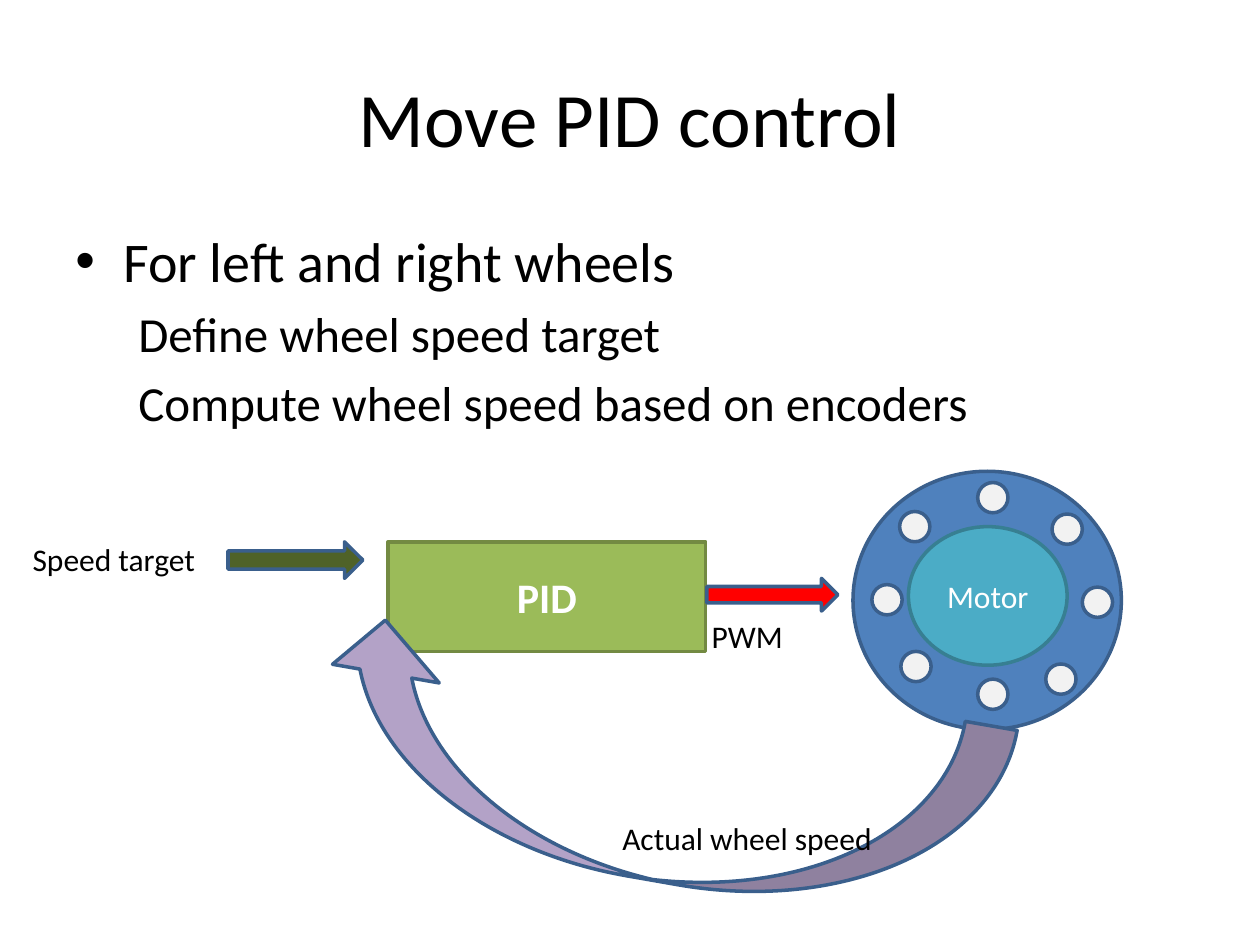
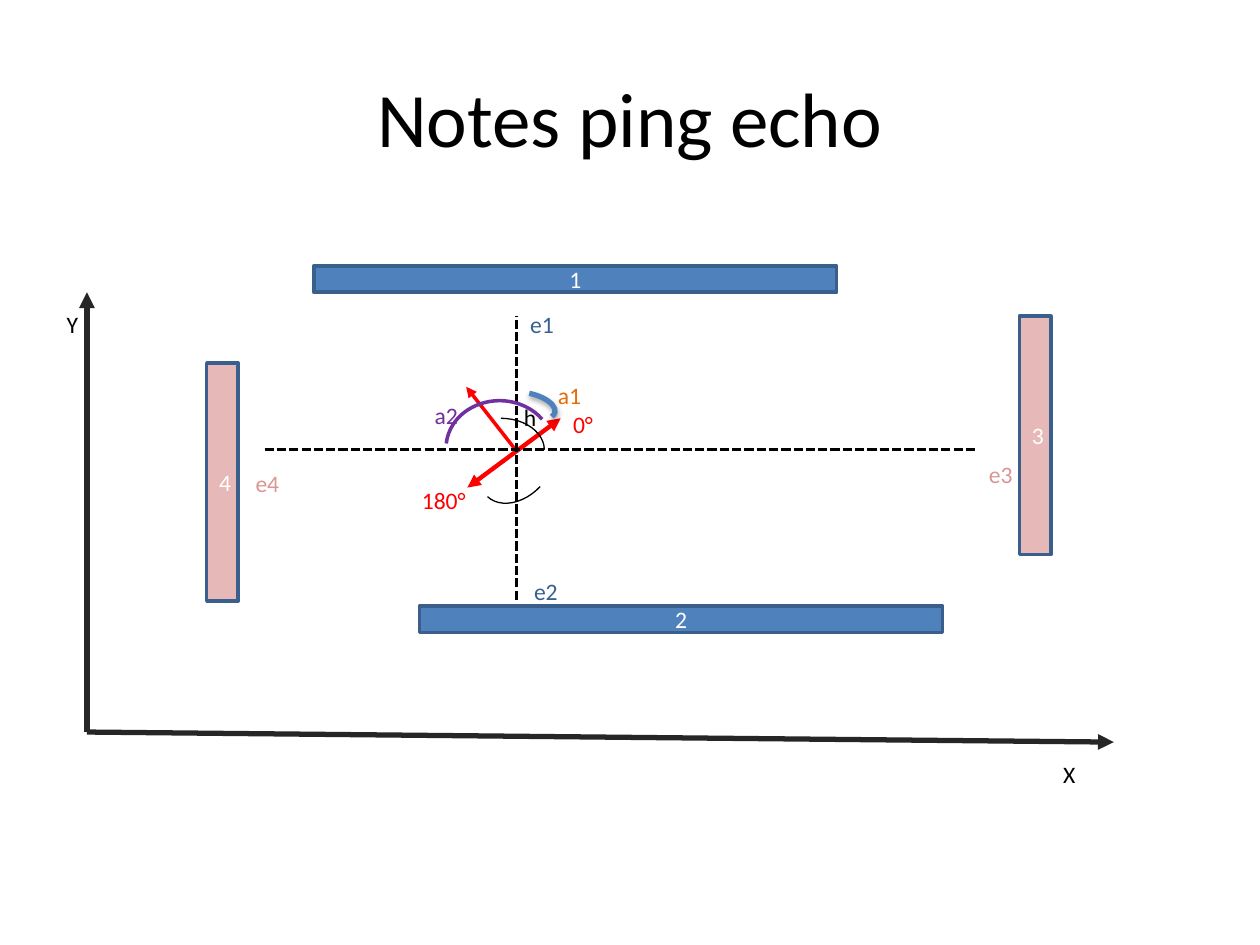
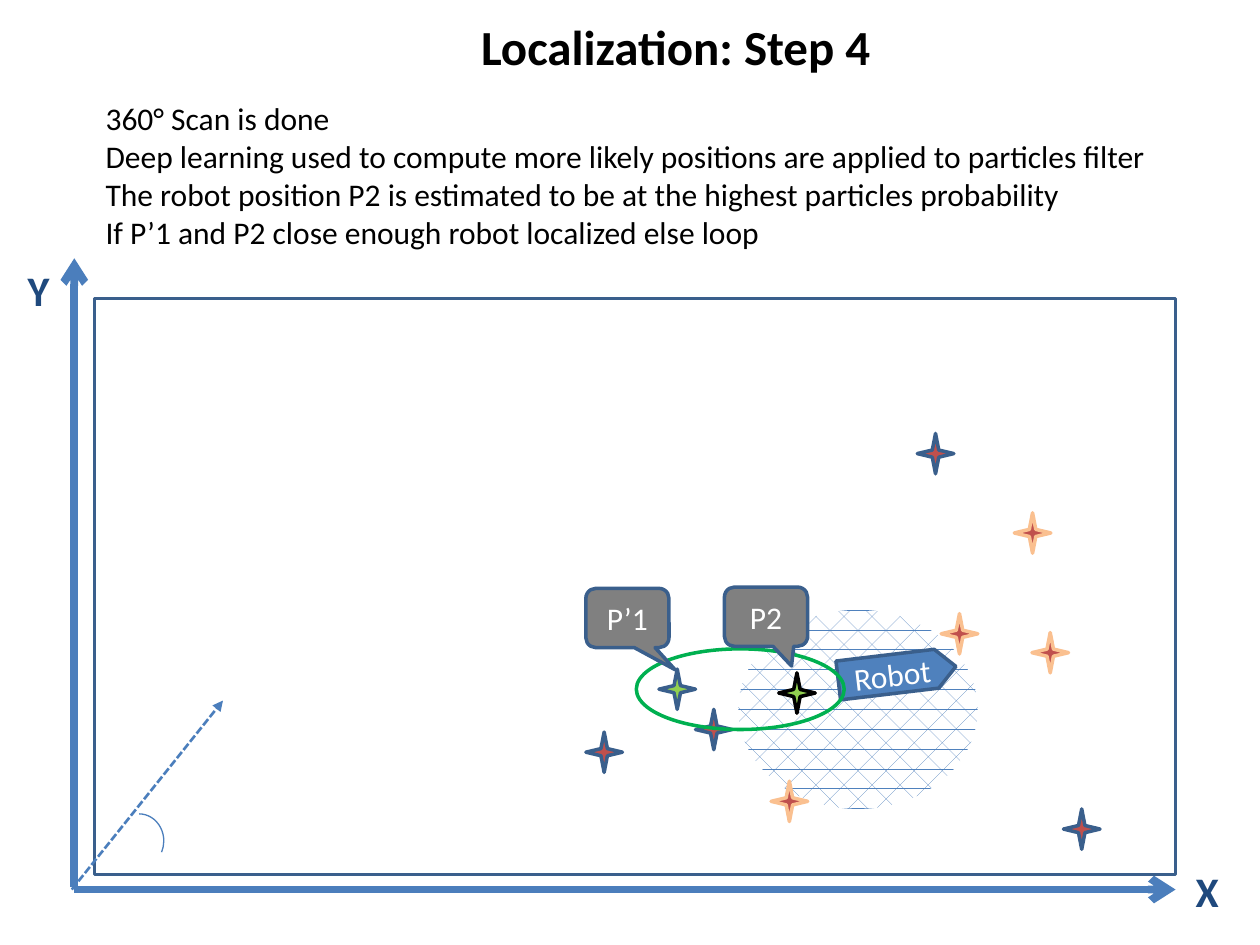
from lxml.etree import SubElement
from pptx import Presentation
from pptx.dml.color import RGBColor
from pptx.enum.dml import MSO_LINE as Dash, MSO_PATTERN as Pattern
from pptx.enum.shapes import MSO_CONNECTOR as Connector, MSO_SHAPE as Shape
from pptx.enum.text import MSO_ANCHOR as Anchor, MSO_AUTO_SIZE as AutoSize, PP_ALIGN as Align
from pptx.oxml.ns import qn
from pptx.util import Inches, Pt

BLACK = RGBColor(0x00, 0x00, 0x00)
WHITE = RGBColor(0xFF, 0xFF, 0xFF)
CHARCOAL = RGBColor(0x26, 0x26, 0x26)
GRAY = RGBColor(0x80, 0x80, 0x80)
PALE_GRAY = RGBColor(0xF2, 0xF2, 0xF2)
BLUE = RGBColor(0x4F, 0x81, 0xBD)
EDGE_BLUE = RGBColor(0x3A, 0x5F, 0x8C)
AXIS_BLUE = RGBColor(0x4B, 0x7E, 0xBC)
DARK_BLUE = RGBColor(0x37, 0x60, 0x92)
NAVY = RGBColor(0x1F, 0x49, 0x7D)
TEAL = RGBColor(0x4B, 0xAC, 0xC6)
EDGE_TEAL = RGBColor(0x37, 0x7F, 0x92)
OLIVE = RGBColor(0x9B, 0xBB, 0x59)
EDGE_OLIVE = RGBColor(0x73, 0x8A, 0x42)
DARK_OLIVE = RGBColor(0x4F, 0x62, 0x28)
GREEN = RGBColor(0x00, 0xB0, 0x50)
LIME = RGBColor(0x92, 0xD0, 0x50)
RED = RGBColor(0xFF, 0x00, 0x00)
BRICK = RGBColor(0xC0, 0x50, 0x4D)
ROSE = RGBColor(0xD9, 0x96, 0x94)
PINK = RGBColor(0xE6, 0xB9, 0xB8)
ORANGE = RGBColor(0xE4, 0x6C, 0x0A)
PEACH = RGBColor(0xFA, 0xC0, 0x90)
PURPLE = RGBColor(0x70, 0x30, 0xA0)
LILAC = RGBColor(0xB3, 0xA2, 0xC7)


def write(para, text, size=18, color=BLACK, bold=False, align=Align.LEFT):
    para.alignment = align
    span = para.add_run()
    span.text = text
    font = span.font
    font.name = "Calibri"
    font.size = Pt(size)
    font.bold = bold
    font.color.rgb = color


class Sketch:
    def __init__(self, deck):
        self.deck = deck
        self.page = None

    def new_page(self):
        self.page = self.deck.slides.add_slide(self.deck.slide_layouts[6])

    def frame(self, left, top, width, height):
        box = self.page.shapes.add_textbox(
            Inches(left), Inches(top), Inches(width), Inches(height))
        box.text_frame.word_wrap = True
        return box.text_frame

    def title(self, text):
        frame = self.frame(0.5, 0.3, 9, 1.25)
        frame.vertical_anchor = Anchor.MIDDLE
        write(frame.paragraphs[0], text, size=44, align=Align.CENTER)

    def body(self, heading, details):
        frame = self.frame(0.5, 1.75, 9, 2.39)
        para = frame.paragraphs[0]
        properties = para._p.get_or_add_pPr()
        properties.set("marL", str(Inches(0.38)))
        properties.set("indent", str(-Inches(0.38)))
        SubElement(properties, qn("a:buFont"), typeface="Arial")
        SubElement(properties, qn("a:buChar"), char="•")
        write(para, heading, size=32)
        for detail in details:
            para = frame.add_paragraph()
            para.level = 1
            para.space_before = Pt(5.6)
            properties = para._p.get_or_add_pPr()
            properties.set("marL", str(Inches(0.5)))
            properties.set("indent", "0")
            SubElement(properties, qn("a:buNone"))
            write(para, detail, size=28)

    def label(self, left, top, width, *lines, size=18, wrap=False, **style):
        height = len(lines) * size * 1.2 / 72 + 0.1
        frame = self.frame(left, top, width, height)
        frame.word_wrap = wrap
        frame.auto_size = AutoSize.SHAPE_TO_FIT_TEXT
        for index, line in enumerate(lines):
            para = frame.add_paragraph() if index else frame.paragraphs[0]
            write(para, line, size=size, **style)

    def shape(self, kind, left, top, width, height, fill=None, edge=EDGE_BLUE,
              weight=2, rotation=0, adjust=(), text="", size=18, bold=False):
        box = self.page.shapes.add_shape(
            kind, Inches(left), Inches(top), Inches(width), Inches(height))
        box.shadow.inherit = False
        box.rotation = rotation
        for index, value in enumerate(adjust):
            box.adjustments[index] = value
        if fill is None:
            box.fill.background()
        else:
            box.fill.solid()
            box.fill.fore_color.rgb = fill
        if edge is None:
            box.line.fill.background()
        else:
            box.line.color.rgb = edge
            box.line.width = Pt(weight)
        if text:
            box.text_frame.vertical_anchor = Anchor.MIDDLE
            write(box.text_frame.paragraphs[0], text, size=size, color=WHITE,
                  bold=bold, align=Align.CENTER)
        return box

    def line(self, start, end, color, weight, dashed=False, head=None, tail=None):
        link = self.page.shapes.add_connector(
            Connector.STRAIGHT, *map(Inches, start + end))
        link.line.color.rgb = color
        link.line.width = Pt(weight)
        if dashed:
            link.line.dash_style = Dash.SQUARE_DOT
        properties = link.element.spPr
        outline = properties.find(qn("a:ln"))
        for tag, arrow in (("a:headEnd", head), ("a:tailEnd", tail)):
            if arrow:
                SubElement(outline, qn(tag), type=arrow)
        SubElement(properties, qn("a:effectLst"))


def cast_shadow(box):
    effects = box.element.spPr.find(qn("a:effectLst"))
    shadow = SubElement(effects, qn("a:outerShdw"), blurRad=str(Pt(3.1)),
                        dist=str(Pt(1.8)), dir="5400000", rotWithShape="0")
    tint = SubElement(shadow, qn("a:srgbClr"), val=str(BLACK))
    SubElement(tint, qn("a:alpha"), val="35000")


def draw_pid_control(sketch):
    sketch.new_page()
    sketch.shape(Shape.OVAL, 6.77, 3.74, 2.13, 2.05, BLUE)
    sketch.title("Move PID control")
    sketch.body("For left and right wheels",
                ["Define wheel speed target", "Compute wheel speed based on encoders"])
    sketch.shape(Shape.RECTANGLE, 3.08, 4.3, 2.52, 0.87, OLIVE, EDGE_OLIVE,
                 text="PID", size=24, bold=True)
    sketch.shape(Shape.RIGHT_ARROW, 5.61, 4.59, 1.04, 0.26, RED)
    sketch.label(5.55, 4.85, 0.77, "PWM")
    sketch.shape(Shape.OVAL, 7.21, 4.18, 1.26, 1.1, TEAL, EDGE_TEAL, text="Motor")
    wheel_holes = [(7.76, 3.83), (8.35, 4.08), (7.14, 4.06), (7.15, 5.17),
                   (8.59, 4.66), (8.3, 5.27), (6.92, 4.64), (7.76, 5.39)]
    for left, top in wheel_holes:
        sketch.shape(Shape.OVAL, left, top, 0.24, 0.24, PALE_GRAY)
    sketch.shape(Shape.RIGHT_ARROW, 1.81, 4.3, 1.07, 0.29, DARK_OLIVE)
    sketch.label(0.16, 4.24, 1.51, "Speed target")
    feedback = sketch.shape(Shape.CURVED_UP_ARROW, 2.45, 5.31, 5.52, 1.67, LILAC,
                            rotation=9.9, adjust=(0.25, 0.515, 0.25))
    feedback.element.spPr.find(qn("a:xfrm")).set("flipH", "1")
    sketch.label(4.84, 6.45, 2.21, "Actual wheel speed")


def draw_ping_echo(sketch):
    small = 13.5
    sketch.new_page()
    sketch.title("Notes ping echo")
    for end in ((0.69, 2.32), (8.84, 5.89)):
        sketch.line((0.69, 5.81), end, CHARCOAL, 3, tail="triangle")
    walls = [("1", 2.49, 2.11, 4.15, 0.21, BLUE), ("2", 3.33, 4.81, 4.15, 0.21, BLUE),
             ("3", 8.09, 2.51, 0.25, 1.89, PINK), ("4", 1.64, 2.88, 0.25, 1.89, PINK)]
    for name, left, top, width, height, fill in walls:
        sketch.shape(Shape.RECTANGLE, left, top, width, height, fill,
                     text=name, size=small)
    sketch.label(8.34, 5.98, 0.5, "X", size=small, wrap=True)
    sketch.label(0.43, 2.41, 0.29, "Y", size=small)
    sketch.line((3.71, 3.87), (4.45, 3.32), RED, 2.5, head="triangle", tail="triangle")
    sketch.line((4.1, 3.58), (3.7, 3.07), RED, 2, tail="triangle")
    sketch.line((2.1, 3.57), (7.76, 3.57), BLACK, 1.75, dashed=True)
    sketch.label(4.06, 3.15, 0.3, "h", size=small)
    sketch.line((4.1, 4.76), (4.1, 2.51), BLACK, 1.75, dashed=True)
    cast_shadow(sketch.shape(Shape.ARC, 3.95, 3.12, 0.46, 0.21, edge=BLUE, weight=3,
                             rotation=11.8, adjust=(162, 6.385)))
    sketch.shape(Shape.ARC, 3.59, 3.13, 0.75, 0.85, edge=PURPLE, rotation=270,
                 adjust=(164.857, 33.582))
    marks = [("a1", 4.33, 2.97, 0.39, ORANGE), ("a2", 3.35, 3.13, 0.39, PURPLE),
             ("180°", 3.25, 3.81, 0.56, RED), ("0°", 4.45, 3.2, 0.36, RED),
             ("e1", 4.11, 2.41, 0.39, DARK_BLUE), ("e2", 4.14, 4.53, 0.39, DARK_BLUE),
             ("e3", 7.75, 3.6, 0.39, ROSE), ("e4", 1.93, 3.67, 0.39, ROSE)]
    for text, left, top, width, color in marks:
        sketch.label(left, top, width, text, size=small, color=color)
    for left, top, rotation in ((3.63, 3.32, 0), (3.76, 3.44, 133.2)):
        sketch.shape(Shape.ARC, left, top, 0.69, 0.5, edge=BLACK, weight=0.75,
                     rotation=rotation)


def draw_localization(sketch):
    sketch.new_page()
    scan_area = sketch.shape(Shape.OVAL, 5.86, 4.84, 1.9, 1.58, edge=None)
    scan_area.fill.patterned()
    scan_area.fill.pattern = Pattern.DIVOT
    scan_area.fill.fore_color.rgb = BLUE
    scan_area.fill.back_color.rgb = WHITE
    sketch.shape(Shape.RECTANGLE, 0.75, 2.37, 8.58, 4.57)
    sketch.line((0.59, 7.06), (9.33, 7.06), AXIS_BLUE, 4.5, tail="arrow")
    sketch.line((0.59, 7.04), (0.59, 2.05), AXIS_BLUE, 4.5, tail="arrow")
    for name, left, top in (("X", 9.39, 6.82), ("Y", 0.12, 2.05)):
        sketch.label(left, top, 0.39, name, size=24, color=NAVY, bold=True)
    sketch.line((0.57, 7.06), (1.77, 5.56), AXIS_BLUE, 1.5, dashed=True, tail="triangle")
    sketch.shape(Shape.ARC, 0.91, 6.46, 0.39, 0.43, edge=AXIS_BLUE, weight=0.75,
                 adjust=(162, 15.989))
    sketch.label(3.72, 0.08, 3.34, "Localization: Step 4", size=28, bold=True)
    sketch.label(
        0.74, 0.74, 8.56,
        "360° Scan is done",
        "Deep learning used to compute more likely positions are applied to particles filter",
        "The robot position P2 is estimated to be at the highest particles probability",
        "If P’1 and P2 close enough robot localized else loop")
    sketch.shape(Shape.PENTAGON, 6.65, 5.19, 0.94, 0.31, BLUE, rotation=353.2, text="Robot")
    particles = [
        (BRICK, EDGE_BLUE, [(8.44, 6.42), (7.28, 3.44), (4.65, 5.81), (5.52, 5.63)]),
        (BRICK, PEACH, [(6.12, 6.2), (8.19, 5.02), (8.05, 4.07), (7.47, 4.87)]),
        (LIME, BLACK, [(6.18, 5.34)]),
        (LIME, EDGE_BLUE, [(5.23, 5.31)])]
    for fill, edge, places in particles:
        for left, top in places:
            sketch.shape(Shape.STAR_4_POINT, left, top, 0.29, 0.32, fill, edge)
    sketch.shape(Shape.OVAL, 5.05, 5.15, 1.65, 0.64, edge=GREEN)
    callouts = [("P’1", 4.65, 4.67, (0.574, 0.874, 0.167)),
                ("P2", 5.75, 4.66, (0.307, 0.833, 0.167))]
    for text, left, top, adjust in callouts:
        sketch.shape(Shape.ROUNDED_RECTANGULAR_CALLOUT, left, top, 0.66, 0.47, GRAY,
                     adjust=adjust, text=text)


def main():
    deck = Presentation()
    deck.slide_width = Inches(10)
    deck.slide_height = Inches(7.5)
    sketch = Sketch(deck)
    draw_pid_control(sketch)
    draw_ping_echo(sketch)
    draw_localization(sketch)
    deck.save("out.pptx")


if __name__ == "__main__":
    main()
